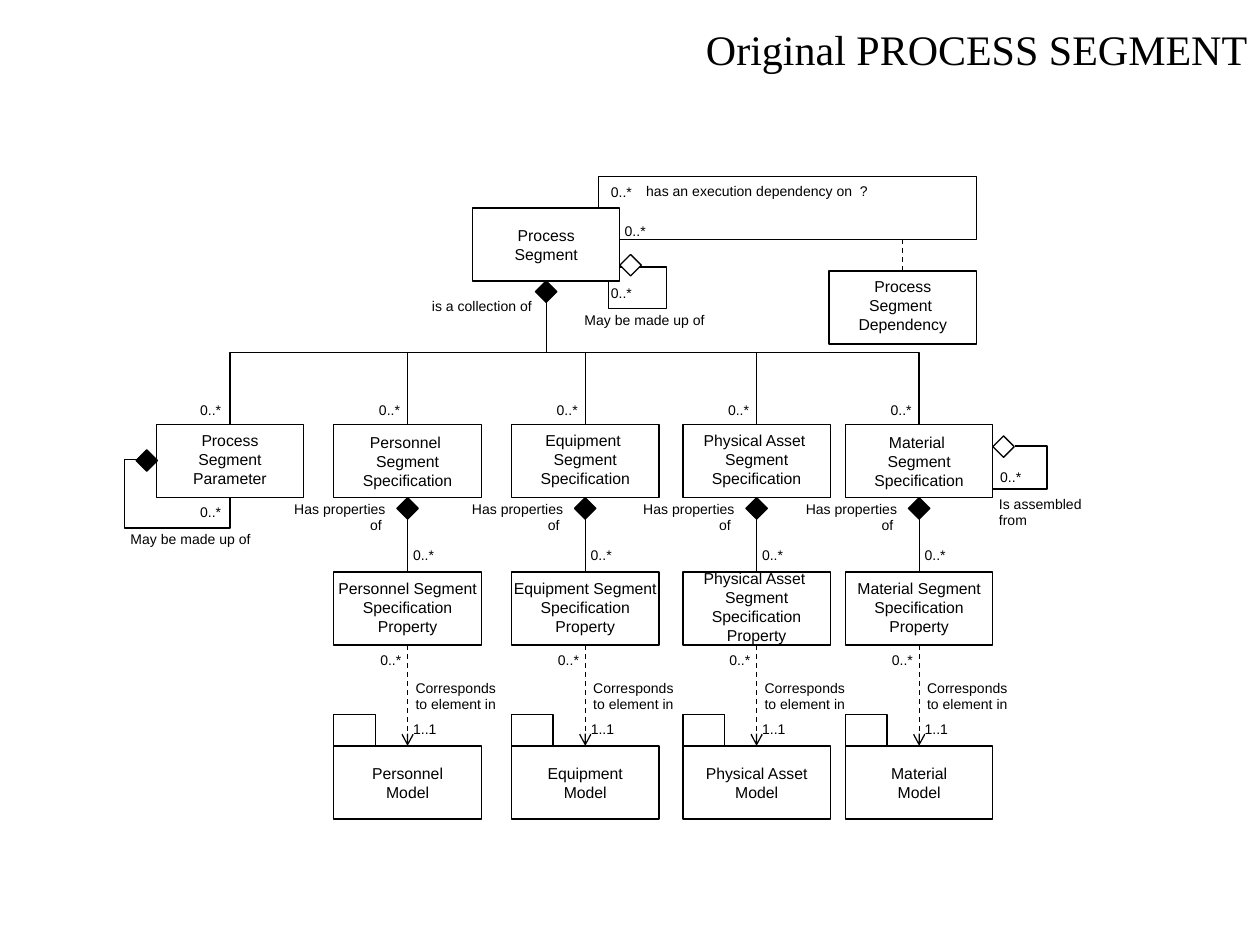
from pptx import Presentation
from pptx.dml.color import RGBColor
from pptx.enum.dml import MSO_LINE
from pptx.enum.shapes import MSO_CONNECTOR as CXN, MSO_SHAPE as SHAPE
from pptx.enum.text import MSO_ANCHOR as ANCHOR, MSO_AUTO_SIZE as AUTO, PP_ALIGN as ALIGN
from pptx.oxml.ns import qn
from pptx.util import Inches, Pt
from lxml import etree

BLACK, WHITE = "000000", "FFFFFF"
BOX_W, BOX_H = 1.17, 0.58
DIAMOND = 0.17
TOP, LEFT, BOTTOM, RIGHT = range(4)
SPEC_Y, PROPERTY_Y, MODEL_Y = 3.37, 4.54, 5.92

# Column: left edge, specification, property, model
COLUMNS = [
    (2.65, "Personnel \nSegment\nSpecification",
     "Personnel Segment\nSpecification\nProperty", "Personnel\nModel"),
    (4.06, "Equipment \nSegment\nSpecification",
     "Equipment Segment\nSpecification\nProperty", "Equipment\nModel"),
    (5.42, "Physical Asset \nSegment\nSpecification",
     "Physical Asset \nSegment\nSpecification\nProperty", "Physical Asset\nModel"),
    (6.71, "Material \nSegment\nSpecification",
     "Material Segment\nSpecification\nProperty", "Material\nModel"),
]


def color(hex_string):
    return RGBColor.from_string(hex_string)


def write(sp, text, size, align, name="Arial", **frame):
    tf = sp.text_frame
    tf.word_wrap = False
    for key, value in frame.items():
        setattr(tf, key, value)
    for i, line in enumerate(text.split("\n")):
        p = tf.paragraphs[0] if i == 0 else tf.add_paragraph()
        p.alignment = align
        r = p.add_run()
        r.text = line
        for key, value in {"name": name, "size": Pt(size)}.items():
            setattr(r.font, key, value)
        r.font.color.rgb = color(BLACK)


def outline(sp):
    sp.line.color.rgb = color(BLACK)
    sp.line.width = Pt(0.75)


def add_preset(s, kind, x, y, w, h, fill):
    sp = s.shapes.add_shape(kind, Inches(x), Inches(y), Inches(w), Inches(h))
    sp.shadow.inherit = False
    sp.fill.solid()
    sp.fill.fore_color.rgb = color(fill)
    outline(sp)
    return sp


def add_box(s, x, y, text, raised=True):
    sp = add_preset(s, SHAPE.RECTANGLE, x, y, BOX_W, BOX_H, WHITE)
    write(sp, text, 9, ALIGN.CENTER, vertical_anchor=ANCHOR.MIDDLE,
          margin_top=Inches(0.02 if raised else 0.05))
    return sp


def add_diamond(s, x, y, fill=BLACK):
    add_preset(s, SHAPE.DIAMOND, x, y, DIAMOND, DIAMOND, fill)


def add_label(s, x, y, w, text, align=ALIGN.LEFT):
    h = 0.37 if "\n" in text else 0.23
    sp = s.shapes.add_textbox(Inches(x), Inches(y), Inches(w), Inches(h))
    write(sp, text, 8, align, auto_size=AUTO.SHAPE_TO_FIT_TEXT)


def add_many(s, x, y):
    add_label(s, x, y, 0.37, "0..*")


def add_loop(s, points):
    pts = [(Inches(x), Inches(y)) for x, y in points]
    builder = s.shapes.build_freeform(*pts[0])
    builder.add_line_segments(pts[1:], close=False)
    sp = builder.convert_to_shape()
    sp.shadow.inherit = False
    sp.fill.background()
    outline(sp)


def add_line(s, x1, y1, x2, y2, kind=CXN.STRAIGHT, dashed=False, arrow=False):
    c = s.shapes.add_connector(kind, *map(Inches, (x1, y1, x2, y2)))
    outline(c)
    if dashed:
        c.line.dash_style = MSO_LINE.DASH
    if arrow:
        etree.SubElement(c.line._get_or_add_ln(), qn("a:tailEnd"), type="arrow")
    etree.SubElement(c._element.spPr, qn("a:effectLst"))
    return c


def link_down(s, upper, lower, **style):
    c = add_line(s, 0, 0, 1, 1, **style)
    c.begin_connect(upper, BOTTOM)
    c.end_connect(lower, TOP)
    return c


def add_branch(s, parent, child):
    """Elbow that leaves the parent downwards: a turned connector."""
    c = link_down(s, parent, child, kind=CXN.ELBOW)
    dx, dy = c.end_x - c.begin_x, c.end_y - c.begin_y
    mid_x, mid_y = (c.begin_x + c.end_x) // 2, (c.begin_y + c.end_y) // 2
    xfrm = c._element.spPr.find(qn("a:xfrm"))
    xfrm.attrib.clear()
    xfrm.set("rot", str((270 if dx > 0 else 90) * 60000))
    if dx > 0:
        xfrm.set("flipH", "1")
    c.width, c.height = dy, abs(dx)
    c.left, c.top = mid_x - dy // 2, mid_y - abs(dx) // 2


def add_title(s, x, y, w, h):
    sp = s.shapes.title
    sp.left, sp.top, sp.width, sp.height = map(Inches, (x, y, w, h))
    write(sp, "Original PROCESS SEGMENT", 24, ALIGN.RIGHT, "Times New Roman",
          vertical_anchor=ANCHOR.TOP, auto_size=AUTO.SHAPE_TO_FIT_TEXT)


def add_segment(s, x, y):
    """Process segment with its dependency and its part-of loop."""
    right, bottom = x + BOX_W, y + BOX_H
    # Execution dependency
    far, low = x + 4, y + 0.25
    add_loop(s, [(x + 1, y), (x + 1, y - 0.25), (far, y - 0.25), (far, low), (right, low)])
    segment = add_box(s, x, y, "Process\nSegment", raised=False)
    add_many(s, x + 1, y - 0.24)
    add_many(s, x + 1.11, y + 0.07)
    add_label(s, x + 1.28, y - 0.25, 1.99, "has an execution dependency on  ?")
    dependency = add_box(s, far - BOX_W, y + 0.5, "Process\nSegment \nDependency")
    mid = far - BOX_W / 2
    add_line(s, mid, y + 0.5, mid, low, dashed=True).begin_connect(dependency, TOP)
    # Part-of loop
    add_loop(s, [(x + 1.08, bottom + 0.01), (x + 1.08, y + 0.8), (x + 1.54, y + 0.8),
                 (x + 1.54, y + 0.47), (right, y + 0.47)])
    add_diamond(s, right, y + 0.37, WHITE)
    add_many(s, x + 1, y + 0.56)
    add_label(s, x + 0.79, y + 0.77, 1.16, "May be made up of")
    add_label(s, x - 0.42, y + 0.66, 1, "is a collection of")
    return segment


def add_parameter(s, x, y):
    """Process segment parameter with its part-of loop."""
    mid, low = x + BOX_W / 2, y + 0.82
    parameter = add_box(s, x, y, "Process\nSegment\nParameter")
    add_loop(s, [(x, y + 0.28), (x - 0.25, y + 0.28), (x - 0.25, low),
                 (mid, low), (mid, y + BOX_H)])
    add_diamond(s, x - 0.16, y + 0.2)
    add_label(s, x - 0.31, y + 0.79, 1.16, "May be made up of", ALIGN.RIGHT)
    for dy in (-0.23, BOX_H):
        add_many(s, x + 0.25, y + dy)
    return parameter


def add_column(s, x, spec_text, property_text, model_text):
    """Specification, its property and the model package below."""
    spec = add_box(s, x, SPEC_Y, spec_text, raised=not spec_text.startswith(("Pers", "Mat")))
    prop = add_box(s, x, PROPERTY_Y, property_text)
    model = add_box(s, x, MODEL_Y, model_text, raised=False)
    add_preset(s, SHAPE.RECTANGLE, x, MODEL_Y - 0.25, 0.33, 0.25, WHITE)
    link_down(s, spec, prop)
    link_down(s, prop, model, dashed=True, arrow=True)
    add_diamond(s, x + (BOX_W - DIAMOND) / 2, SPEC_Y + BOX_H)
    add_label(s, x - 0.42, 3.92, 0.93, "Has properties\nof ", ALIGN.RIGHT)
    add_label(s, x + 0.55, 5.34, 0.84, "Corresponds\nto element in")
    for dx, y in ((0.26, 3.14), (0.53, 4.29), (0.27, 5.12)):
        add_many(s, x + dx, y)
    add_label(s, x + 0.53, 5.67, 0.39, "1..1")
    return spec


def add_assembly(s, x, y):
    """Assembly loop on the right side of the material specification."""
    add_loop(s, [(x + 0.18, y + 0.17), (x + 0.43, y + 0.17), (x + 0.43, y + 0.51), (x, y + 0.51)])
    add_diamond(s, x, y + 0.09, WHITE)
    add_many(s, x - 0.04, y + 0.3)
    add_label(s, x - 0.05, y + 0.51, 0.86, "Is assembled\nfrom")


def main():
    prs = Presentation()
    prs.slide_width, prs.slide_height = Inches(10), Inches(7.5)
    s = prs.slides.add_slide(prs.slide_layouts[5])
    add_title(s, 5.46, 0.14, 4.54, 0.5)
    segment = add_segment(s, 3.75, 1.65)
    children = [add_parameter(s, 1.24, SPEC_Y)]
    children += [add_column(s, *column) for column in COLUMNS]
    add_assembly(s, COLUMNS[-1][0] + BOX_W, SPEC_Y)
    for child in children:
        add_branch(s, segment, child)
    add_diamond(s, 4.25, 2.23)
    prs.save("out.pptx")


if __name__ == "__main__":
    main()
